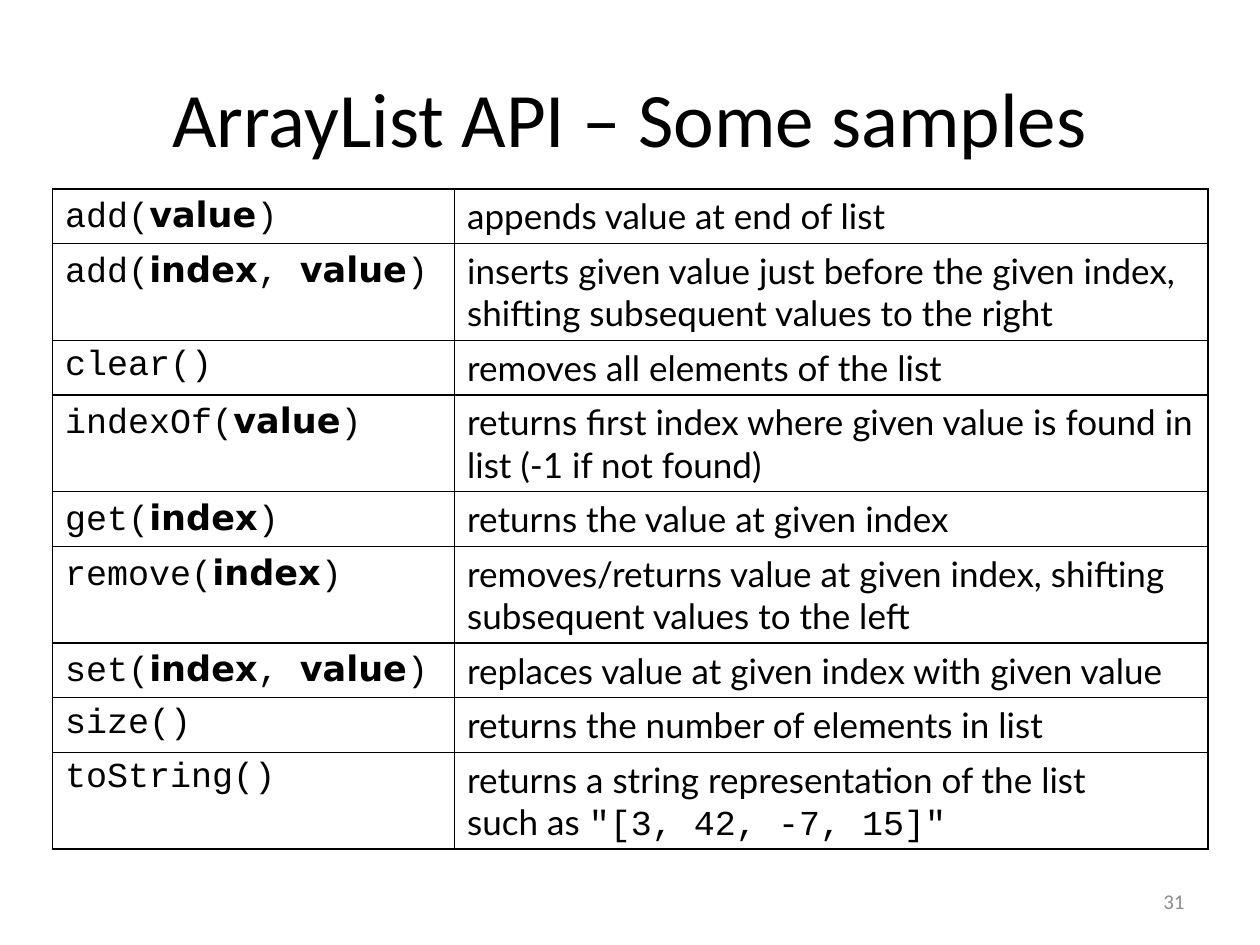
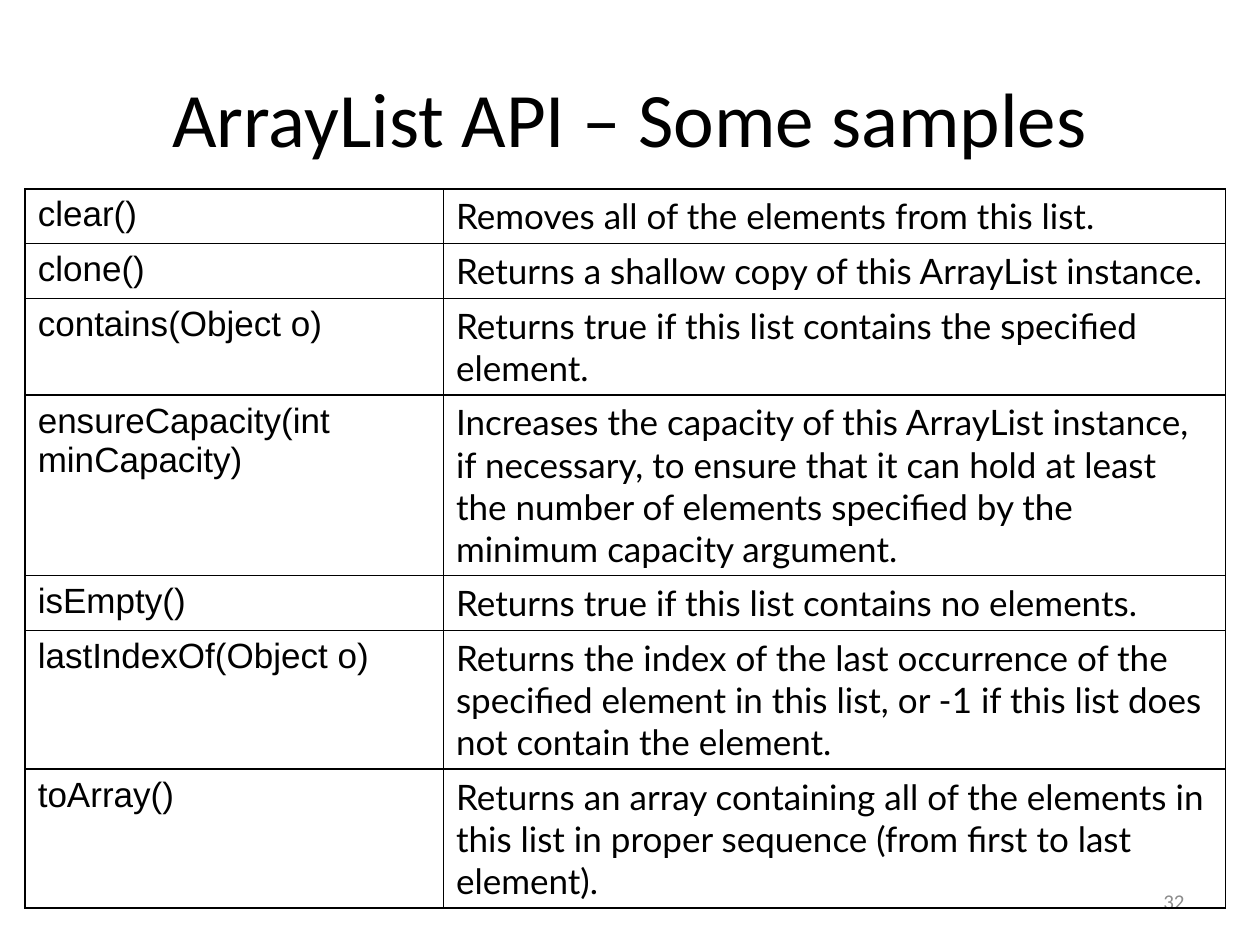
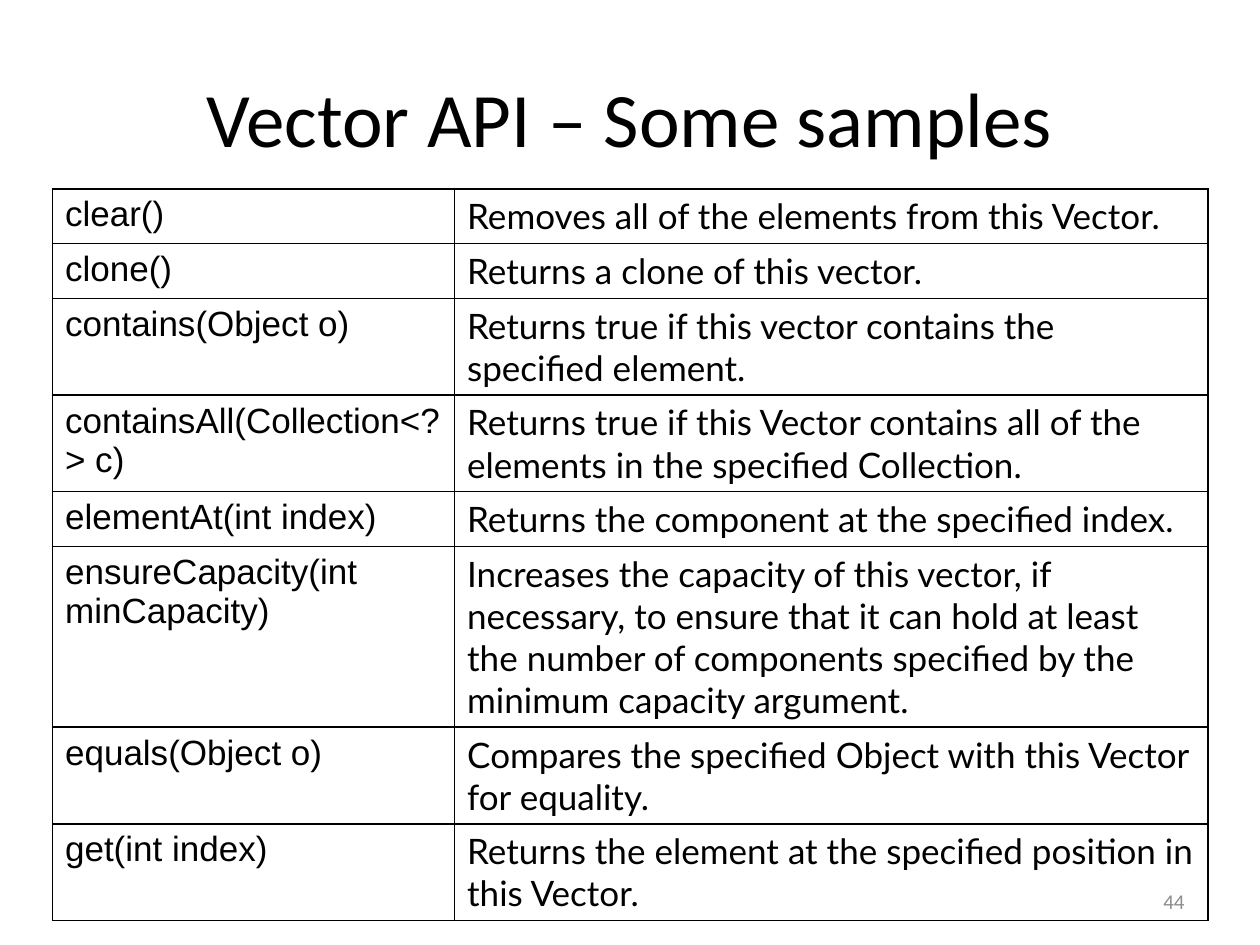
"""Build three slides of list API reference tables."""
from dataclasses import dataclass

from lxml import etree
from pptx import Presentation, util as u
from pptx.dml.color import RGBColor
from pptx.enum import text
from pptx.oxml import ns


@dataclass(frozen=True)
class Theme:
    ink: str = "000000"
    muted: str = "8C8C8C"
    heading: str = "Calibri"
    prose: str = "Lato"
    code: str = "Courier New"
    argument: str = "DejaVu Sans"
    plain: str = "Arial"
    title_size: int = 44
    body_size: int = 20
    number_size: int = 12
    border: int = 1


THEME = Theme()
SLIDE_SIZE = (720, 540)
TITLE_AREA = (36, 21.6, 648, 90)
NUMBER_AREA = (516, 500.4, 168, 28.8)
TABLE_TOP = 108
LINE_HEIGHT = 24
CELL_PADDING = 7.2
NARROW = (30, (229.8, 430.4))
WIDE = (14.4, (239, 447))

# Each row: signature, description, lines it fills; "|" switches to the second font and back.
PAGES = [
    {
        "title": "ArrayList API – Some samples",
        "number": "31",
        "layout": NARROW,
        "signature_font": THEME.code,
        "rows": [
            ("add(|value|)", "appends value at end of list", 1),
            ("add(|index|, |value|)",
             "inserts given value just before the given index, shifting subsequent values to the right", 2),
            ("clear()", "removes all elements of the list", 1),
            ("indexOf(|value|)", "returns first index where given value is found in list (-1 if not found)", 2),
            ("get(|index|)", "returns the value at given index", 1),
            ("remove(|index|)", "removes/returns value at given index, shifting subsequent values to the left", 2),
            ("set(|index|, |value|)", "replaces value at given index with given value", 1),
            ("size()", "returns the number of elements in list", 1),
            ("toString()",
             'returns a string representation of the list\nsuch as |"[3, 42, -7, 15]"|', 2),
        ],
    },
    {
        "title": "ArrayList API – Some samples",
        "number": "32",
        "layout": WIDE,
        "signature_font": THEME.plain,
        "rows": [
            ("clear()", "Removes all of the elements from this list.", 1),
            ("clone()", "Returns a shallow copy of this ArrayList instance.", 1),
            ("contains(Object o)", "Returns true if this list contains the specified element.", 2),
            ("ensureCapacity(int minCapacity)",
             "Increases the capacity of this ArrayList instance, if necessary, to ensure that it can hold "
             "at least the number of elements specified by the minimum capacity argument.", 4),
            ("isEmpty()", "Returns true if this list contains no elements.", 1),
            ("lastIndexOf(Object o)",
             "Returns the index of the last occurrence of the specified element in this list, "
             "or -1 if this list does not contain the element.", 3),
            ("toArray()",
             "Returns an array containing all of the elements in this list in proper sequence "
             "(from first to last element).", 3),
        ],
    },
    {
        "title": "Vector API – Some samples",
        "number": "44",
        "layout": NARROW,
        "signature_font": THEME.plain,
        "rows": [
            ("clear()", "Removes all of the elements from this Vector.", 1),
            ("clone()", "Returns a clone of this vector.", 1),
            ("contains(Object o)", "Returns true if this vector contains the specified element.", 2),
            ("containsAll(Collection<?> c)",
             "Returns true if this Vector contains all of the elements in the specified Collection.", 2),
            ("elementAt(int index)", "Returns the component at the specified index.", 1),
            ("ensureCapacity(int minCapacity)",
             "Increases the capacity of this vector, if necessary, to ensure that it can hold at least "
             "the number of components specified by the minimum capacity argument.", 4),
            ("equals(Object o)", "Compares the specified Object with this Vector for equality.", 2),
            ("get(int index)", "Returns the element at the specified position in this Vector.", 2),
        ],
    },
]


def write(frame, content, *, font, size=THEME.body_size, color=THEME.ink,
          align=text.PP_ALIGN.LEFT, second_font=None, second_bold=False):
    frame.word_wrap = True
    for index, line in enumerate(content.split("\n")):
        para = frame.paragraphs[0] if index == 0 else frame.add_paragraph()
        para.alignment = align
        for position, part in enumerate(line.split("|")):
            if not part:
                continue
            second = position % 2 == 1
            span = para.add_run()
            span.text = part
            span.font.name = second_font if second else font
            span.font.bold = second and second_bold
            span.font.size = u.Pt(size)
            span.font.color.rgb = RGBColor.from_string(color)


def add_text(page, area, content, **style):
    box = page.shapes.add_textbox(*map(u.Pt, area))
    box.text_frame.vertical_anchor = text.MSO_ANCHOR.MIDDLE
    write(box.text_frame, content, **style)


def outline(cell):
    properties = cell._tc.get_or_add_tcPr()
    for side in ("a:lnL", "a:lnR", "a:lnT", "a:lnB"):
        line = etree.SubElement(properties, ns.qn(side), w=str(u.Pt(THEME.border)))
        fill = etree.SubElement(line, ns.qn("a:solidFill"))
        etree.SubElement(fill, ns.qn("a:srgbClr"), val=THEME.ink)
    cell.fill.background()


def add_api_table(page, rows, layout, signature_font):
    left, widths = layout
    heights = [lines * LINE_HEIGHT + CELL_PADDING for *_, lines in rows]
    area = (left, TABLE_TOP, sum(widths), sum(heights))
    table = page.shapes.add_table(len(rows), len(widths), *map(u.Pt, area)).table
    table.first_row = table.horz_banding = False
    for column, width in zip(table.columns, widths):
        column.width = u.Pt(width)
    for row, height, (signature, description, _) in zip(table.rows, heights, rows):
        row.height = u.Pt(height)
        name_cell, meaning_cell = row.cells
        write(name_cell.text_frame, signature, font=signature_font,
              second_font=THEME.argument, second_bold=True)
        write(meaning_cell.text_frame, description, font=THEME.prose, second_font=THEME.code)
        outline(name_cell)
        outline(meaning_cell)


def main():
    deck = Presentation()
    deck.slide_width, deck.slide_height = map(u.Pt, SLIDE_SIZE)
    for content in PAGES:
        page = deck.slides.add_slide(deck.slide_layouts[6])
        add_text(page, TITLE_AREA, content["title"], font=THEME.heading,
                 size=THEME.title_size, align=text.PP_ALIGN.CENTER)
        add_text(page, NUMBER_AREA, content["number"], font=THEME.heading,
                 size=THEME.number_size, color=THEME.muted, align=text.PP_ALIGN.RIGHT)
        add_api_table(page, content["rows"], content["layout"], content["signature_font"])
    deck.save("out.pptx")


if __name__ == "__main__":
    main()
